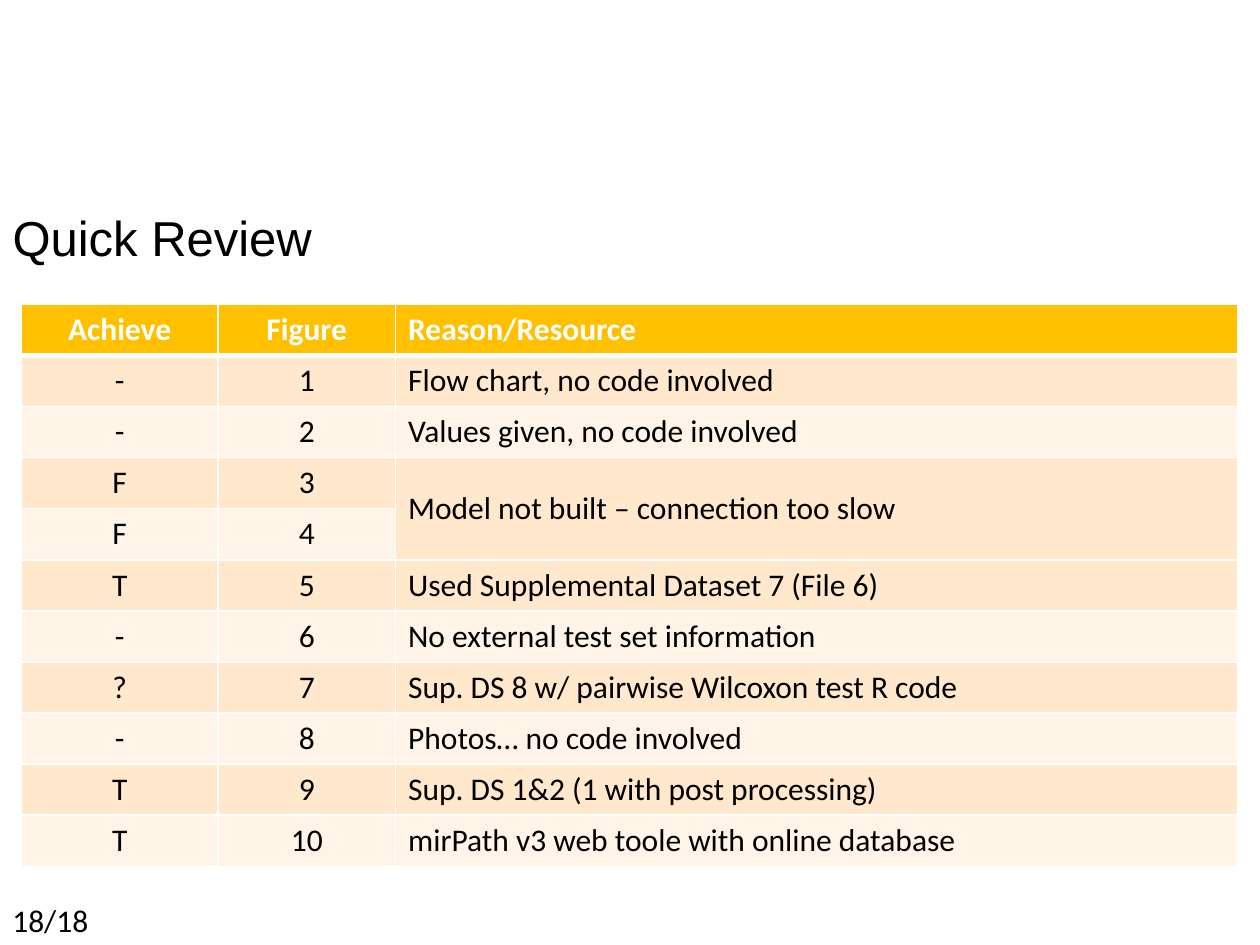
from lxml import etree
from pptx import Presentation
from pptx import util as u
from pptx.dml.color import RGBColor
from pptx.enum import text
from pptx.oxml.ns import qn

HUES = {"ink": "000000", "line": "FFFFFF", "head": "FFC000",
        "odd": "FFE8CC", "even": "FFF4E7"}
WIDE, HIGH = u.Inches(10), u.Inches(7.5)
COLS = (1.56, 1.41, 6.68)
HEAD = ("Achieve", "Figure", "Reason/Resource")
# Mark and reason for each figure in turn; None continues the reason above.
MARKS = (
    ("-", "Flow chart, no code involved"),
    ("-", "Values given, no code involved"),
    ("F", "Model not built – connection too slow"),
    ("F", None),
    ("T", "Used Supplemental Dataset 7 (File 6)"),
    ("-", "No external test set information"),
    ("?", "Sup. DS 8 w/ pairwise Wilcoxon test R code"),
    ("-", "Photos… no code involved"),
    ("T", "Sup. DS 1&2 (1 with post processing)"),
    ("T", "mirPath v3 web toole with online database"),
)


def hue(name):
    return RGBColor.from_string(HUES[name])


def area(x, y, w, h):
    """Turn shares of the slide into a box of lengths."""
    return int(x * WIDE), int(y * HIGH), int(w * WIDE), int(h * HIGH)


def style(para, size, face="Calibri", ink="ink", bold=False):
    font = para.font
    font.size, font.name, font.bold = u.Pt(size), face, bold
    font.color.rgb = hue(ink)


def edge(cell, base=1):
    """Draw the four borders of a cell; base is the bottom width in points."""
    props = cell._tc.get_or_add_tcPr()
    for spot, (side, size) in enumerate(zip("LRTB", (1, 1, 1, base))):
        line = etree.Element(qn("a:ln" + side), w=str(u.Pt(size)))
        fill = etree.SubElement(line, qn("a:solidFill"))
        etree.SubElement(fill, qn("a:srgbClr"), val=HUES["line"])
        props.insert(spot, line)


def title(slide, box):
    head = slide.shapes.title
    head.left, head.top, head.width, head.height = box
    frame = head.text_frame
    frame.text = "Quick Review"
    frame.vertical_anchor = text.MSO_ANCHOR.MIDDLE
    para = frame.paragraphs[0]
    para.alignment, para.line_spacing = text.PP_ALIGN.LEFT, 0.9
    style(para, 28, "Arial")


def review(slide, box):
    rows = [HEAD] + [(mark, str(num), why)
                     for num, (mark, why) in enumerate(MARKS, 1)]
    grid = slide.shapes.add_table(len(rows), len(COLS), *box).table
    for col, part in zip(grid.columns, COLS):
        col.width = int(box[2] * part / sum(COLS))
    for r, row in enumerate(rows):
        grid.rows[r].height = box[3] // len(rows)
        tone = "head" if r == 0 else "odd" if r % 2 else "even"
        for c, words in enumerate(row):
            cell = grid.cell(r, c)
            cell.fill.solid()
            cell.fill.fore_color.rgb = hue(tone)
            edge(cell, 1 if r else 3)
            if words is None:
                above = grid.cell(r - 1, c)
                above.merge(cell)
                above.vertical_anchor = text.MSO_ANCHOR.MIDDLE
                continue
            cell.text = words
            para = cell.text_frame.paragraphs[0]
            para.alignment = (text.PP_ALIGN.CENTER if c < 2
                              else text.PP_ALIGN.LEFT)
            style(para, 18, ink="ink" if r else "line", bold=r == 0)


def count(slide, box):
    frame = slide.shapes.add_textbox(*box).text_frame
    frame.word_wrap = True
    frame.auto_size = text.MSO_AUTO_SIZE.SHAPE_TO_FIT_TEXT
    frame.text = "18/18"
    style(frame.paragraphs[0], 18)


def main():
    deck = Presentation()
    deck.slide_width, deck.slide_height = WIDE, HIGH
    slide = deck.slides.add_slide(deck.slide_layouts[5])
    title(slide, area(0, 0.17, 0.54, 0.17))
    count(slide, area(0, 0.947, 0.1, 0.053))
    review(slide, area(0.017, 0.322, 0.965, 0.595))
    deck.save("out.pptx")


if __name__ == "__main__":
    main()
